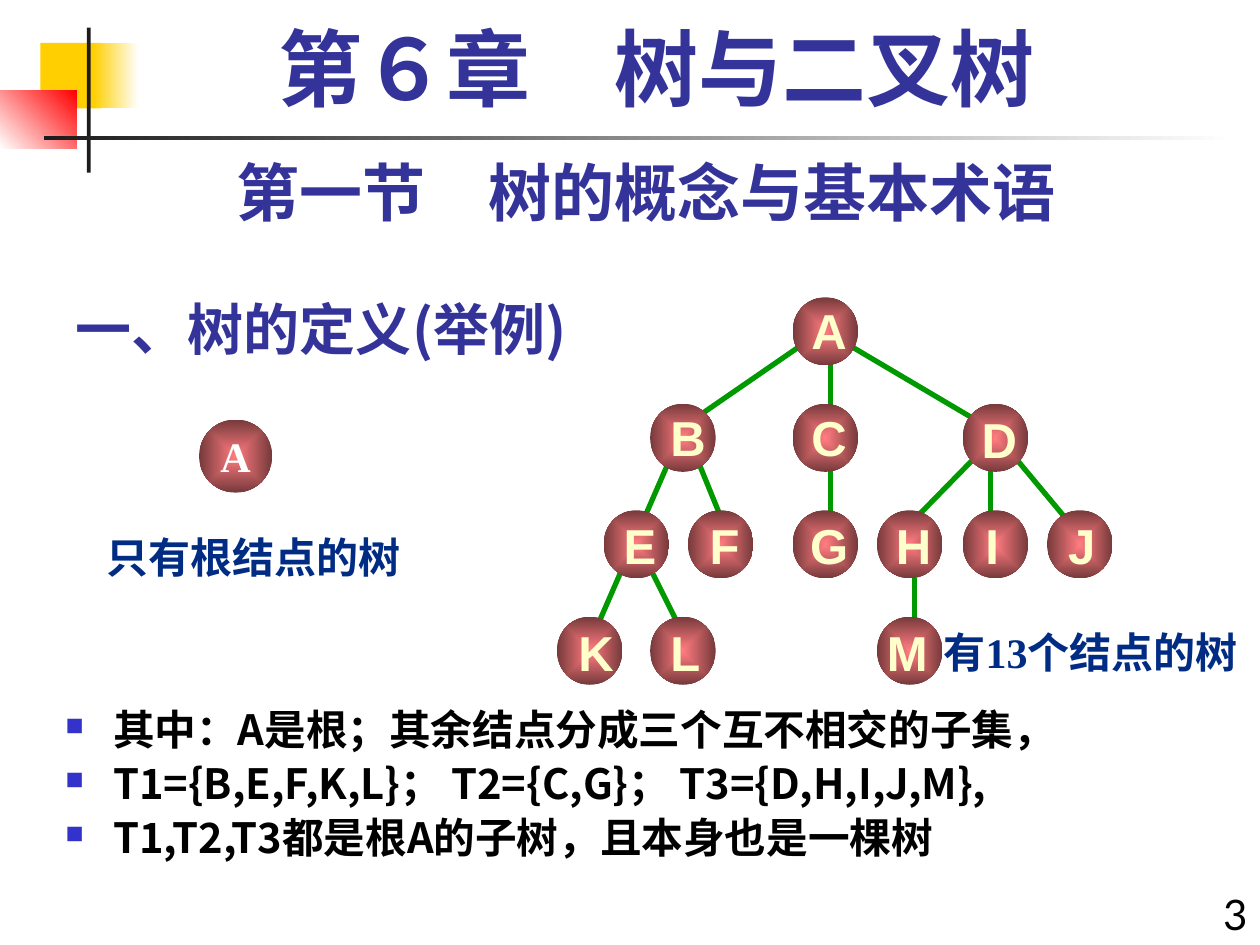
"""Build a slide that defines trees with a single-node and a 13-node example."""
from typing import NamedTuple

from lxml import etree
from pptx import Presentation
from pptx import util as u
from pptx.dml.color import RGBColor
from pptx.enum import shapes, text
from pptx.oxml import parse_xml
from pptx.oxml.ns import nsdecls, qn

INDIGO, NAVY, CREAM = "333399", "002C84", "FFFFCC"
EAST_ASIAN_FONT = "Noto Sans CJK SC"
NODE_WIDTH, NODE_HEIGHT, LABEL_HEIGHT = 0.52, 0.54, 0.57
FIRST_ROW, ROW_STEP = 2.36, 0.845


class Style(NamedTuple):
    size: float
    font: str
    color: str
    bold: bool = True


class Bar(NamedTuple):
    left: float
    top: float
    width: float
    height: float
    start: str
    end: str
    angle: float = 0


class Node(NamedTuple):
    name: str
    row: int
    left: float
    label_left: float
    label_top: float
    label_width: float


class Edge(NamedTuple):
    x1: float
    y1: float
    x2: float
    y2: float


BARS = [
    Bar(0.32, 0.34, 0.48, 0.52, "FFCF01", "FFCF01"),
    Bar(0.74, 0.34, 0.36, 0.52, "FFCF01", "FFFFFF"),
    Bar(0, 0.72, 0.61, 0.46, "FFFFFF", "FF0000", 45),
    Bar(0.69, 0.22, 0.03, 1.15, "1C1C1C", "1C1C1C"),
    Bar(0.35, 1.08, 9.45, 0.03, "1C1C1C", "FFFFFF"),
]
EDGES = [
    Edge(8.08, 3.66, 8.53, 4.2),
    Edge(7.71, 3.66, 7.26, 4.12),
    Edge(7.86, 3.74, 7.86, 4.12),
    Edge(7.26, 4.59, 7.26, 5.05),
    Edge(6.74, 2.74, 7.79, 3.36),
    Edge(6.36, 2.74, 5.46, 3.36),
    Edge(6.59, 2.82, 6.59, 4.59),
    Edge(5.54, 3.66, 5.76, 4.2),
    Edge(5.16, 4.51, 5.39, 4.97),
    Edge(5.31, 3.66, 4.64, 5.2),
]
NODES = [
    Node("A", 0, 6.29, 6.34, 2.33, 0.48),
    Node("B", 1, 5.16, 5.22, 3.18, 0.48),
    Node("C", 1, 6.29, 6.34, 3.18, 0.48),
    Node("D", 1, 7.64, 7.69, 3.2, 0.48),
    Node("E", 2, 4.79, 4.85, 4.04, 0.46),
    Node("F", 2, 5.46, 5.53, 4.04, 0.44),
    Node("G", 2, 6.29, 6.33, 4.04, 0.5),
    Node("H", 2, 6.96, 7.01, 4.04, 0.48),
    Node("I", 2, 7.64, 7.72, 4.04, 0.31),
    Node("J", 2, 8.31, 8.38, 4.04, 0.41),
    Node("K", 3, 4.42, 4.49, 4.89, 0.48),
    Node("L", 3, 5.16, 5.22, 4.89, 0.44),
    Node("M", 3, 6.96, 6.94, 4.89, 0.52),
]
FACTS = [
    "其中：A是根；其余结点分成三个互不相交的子集，",
    "T1={B,E,F,K,L}； T2={C,G}； T3={D,H,I,J,M},",
    "T1,T2,T3都是根A的子树，且本身也是一棵树",
]


def rgb(color: str) -> RGBColor:
    return RGBColor.from_string(color)


def inches(*lengths: float) -> list[u.Length]:
    return [u.Inches(length) for length in lengths]


def add_run(paragraph, words: str, style: Style) -> None:
    run = paragraph.add_run()
    run.text = words
    run.font.size = u.Pt(style.size)
    run.font.name = style.font
    run.font.bold = style.bold
    run.font.color.rgb = rgb(style.color)
    east_asian = etree.SubElement(run.font._element, qn("a:ea"))
    east_asian.set("typeface", EAST_ASIAN_FONT)


def write(shape, words: str, style: Style, align=text.PP_ALIGN.LEFT,
          anchor=text.MSO_ANCHOR.TOP, wrap: bool = True) -> None:
    frame = shape.text_frame
    frame.auto_size = text.MSO_AUTO_SIZE.NONE
    frame.word_wrap = wrap
    frame.vertical_anchor = anchor
    paragraph = frame.paragraphs[0]
    paragraph.alignment = align
    add_run(paragraph, words, style)


def add_bar(slide, bar: Bar) -> None:
    shape = slide.shapes.add_shape(shapes.MSO_SHAPE.RECTANGLE, *inches(*bar[:4]))
    shape.shadow.inherit = False
    shape.line.fill.background()
    if bar.start == bar.end:
        shape.fill.solid()
        shape.fill.fore_color.rgb = rgb(bar.start)
        return
    shape.fill.gradient()
    shape.fill.gradient_angle = bar.angle
    for stop, color in zip(shape.fill.gradient_stops, (bar.start, bar.end)):
        stop.color.rgb = rgb(color)


def add_ball(container, left: float, top: float, width: float, height: float):
    ball = container.add_shape(shapes.MSO_SHAPE.OVAL, *inches(left, top, width, height))
    ball.shadow.inherit = False
    ball.line.fill.background()
    ball.fill.gradient()
    for stop, color in zip(ball.fill.gradient_stops, ("FF7C80", "76393B")):
        stop.color.rgb = rgb(color)
    gradient = ball._element.spPr.find(qn("a:gradFill"))
    radial = parse_xml(f'<a:path {nsdecls("a")} path="rect">'
                       '<a:fillToRect l="50000" t="50000" r="50000" b="50000"/></a:path>')
    gradient.replace(gradient.find(qn("a:lin")), radial)
    return ball


def add_edge(container, edge: Edge) -> None:
    connector = container.add_connector(shapes.MSO_CONNECTOR.STRAIGHT, *inches(*edge))
    connector.line.color.rgb = rgb("009900")
    connector.line.width = u.Pt(3)
    etree.SubElement(connector._element.spPr, qn("a:effectLst"))


def add_tree(slide) -> None:
    tree = slide.shapes.add_group_shape().shapes
    for edge in EDGES:
        add_edge(tree, edge)
    for node in NODES:
        add_ball(tree, node.left, FIRST_ROW + node.row * ROW_STEP, NODE_WIDTH, NODE_HEIGHT)
    for node in NODES:
        label = tree.add_textbox(
            *inches(node.label_left, node.label_top, node.label_width, LABEL_HEIGHT))
        write(label, node.name, Style(28, "Arial", CREAM), text.PP_ALIGN.CENTER,
              text.MSO_ANCHOR.MIDDLE, False)


def add_facts(slide) -> None:
    frame = slide.shapes.add_textbox(*inches(0.42, 5.58, 9.58, 1.92)).text_frame
    frame.word_wrap = True
    for index, fact in enumerate(FACTS):
        paragraph = frame.add_paragraph() if index else frame.paragraphs[0]
        properties = paragraph._p.get_or_add_pPr()
        properties.set("marL", str(u.Inches(0.38)))
        properties.set("indent", str(u.Inches(-0.38)))
        color = etree.SubElement(properties, qn("a:buClr"))
        etree.SubElement(color, qn("a:srgbClr")).set("val", "3333CC")
        etree.SubElement(properties, qn("a:buSzPct")).set("val", "60000")
        etree.SubElement(properties, qn("a:buChar")).set("char", "■")
        paragraph.line_spacing = 0.9
        paragraph.space_before = u.Pt(5.25 if index else 0)
        add_run(paragraph, fact, Style(23.8, EAST_ASIAN_FONT, "000000"))


def main() -> None:
    presentation = Presentation()
    presentation.slide_width, presentation.slide_height = inches(10, 7.5)
    slide = presentation.slides.add_slide(presentation.slide_layouts[5])
    for bar in BARS:
        add_bar(slide, bar)

    title = slide.shapes.title
    title.left, title.top, title.width, title.height = inches(0.5, 2.17, 6.25, 0.75)
    write(title, "一、树的定义(举例)", Style(32, EAST_ASIAN_FONT, INDIGO),
          anchor=text.MSO_ANCHOR.BOTTOM)

    center, caption = text.PP_ALIGN.CENTER, Style(24, "Times New Roman", NAVY)
    number = slide.shapes.add_textbox(*inches(9.33, 7, 0.67, 0.59))
    write(number, "3", Style(24, "Lato", "000000", False), text.PP_ALIGN.RIGHT)
    section = slide.shapes.add_textbox(*inches(0.5, 1.17, 9.25, 0.7))
    write(section, "第一节　树的概念与基本术语", Style(36, "Lato", INDIGO), center)
    add_facts(slide)
    chapter = slide.shapes.add_textbox(*inches(0.67, 0.17, 9.08, 0.83))
    write(chapter, "第６章　树与二叉树", Style(48, "Times New Roman", INDIGO), center)
    chapter.text_frame.paragraphs[0].line_spacing = 0.9

    root = add_ball(slide.shapes, 1.58, 3.33, 0.58, 0.58)
    write(root, "A", Style(24, "Times New Roman", "FFFFFF"), center,
          text.MSO_ANCHOR.MIDDLE, False)
    root_caption = slide.shapes.add_textbox(*inches(0.75, 4.17, 2.53, 0.5))
    write(root_caption, "只有根结点的树", caption, wrap=False)
    add_tree(slide)
    tree_caption = slide.shapes.add_textbox(*inches(7.39, 4.92, 2.69, 0.5))
    write(tree_caption, "有13个结点的树", caption, wrap=False)
    presentation.save("out.pptx")


if __name__ == "__main__":
    main()
